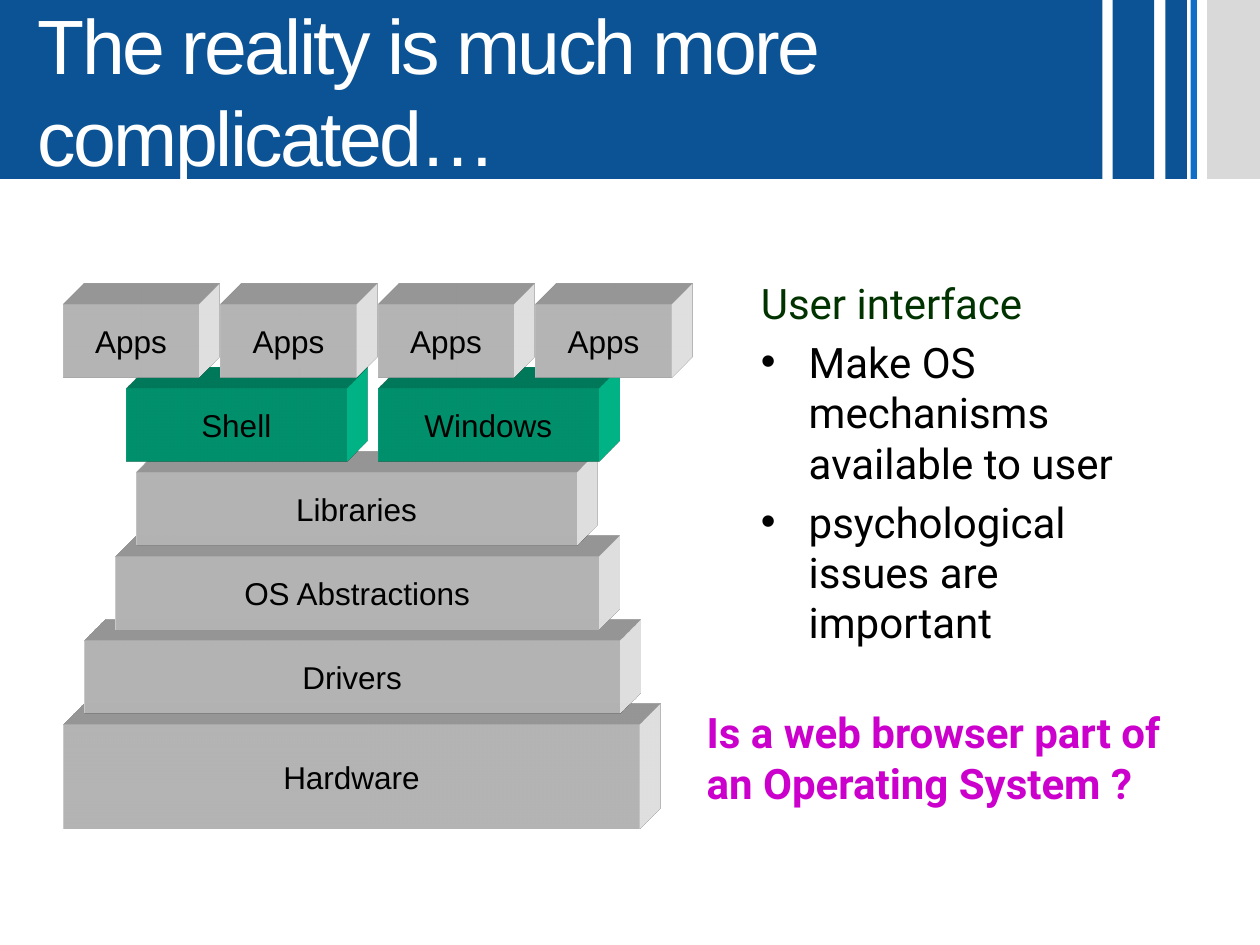
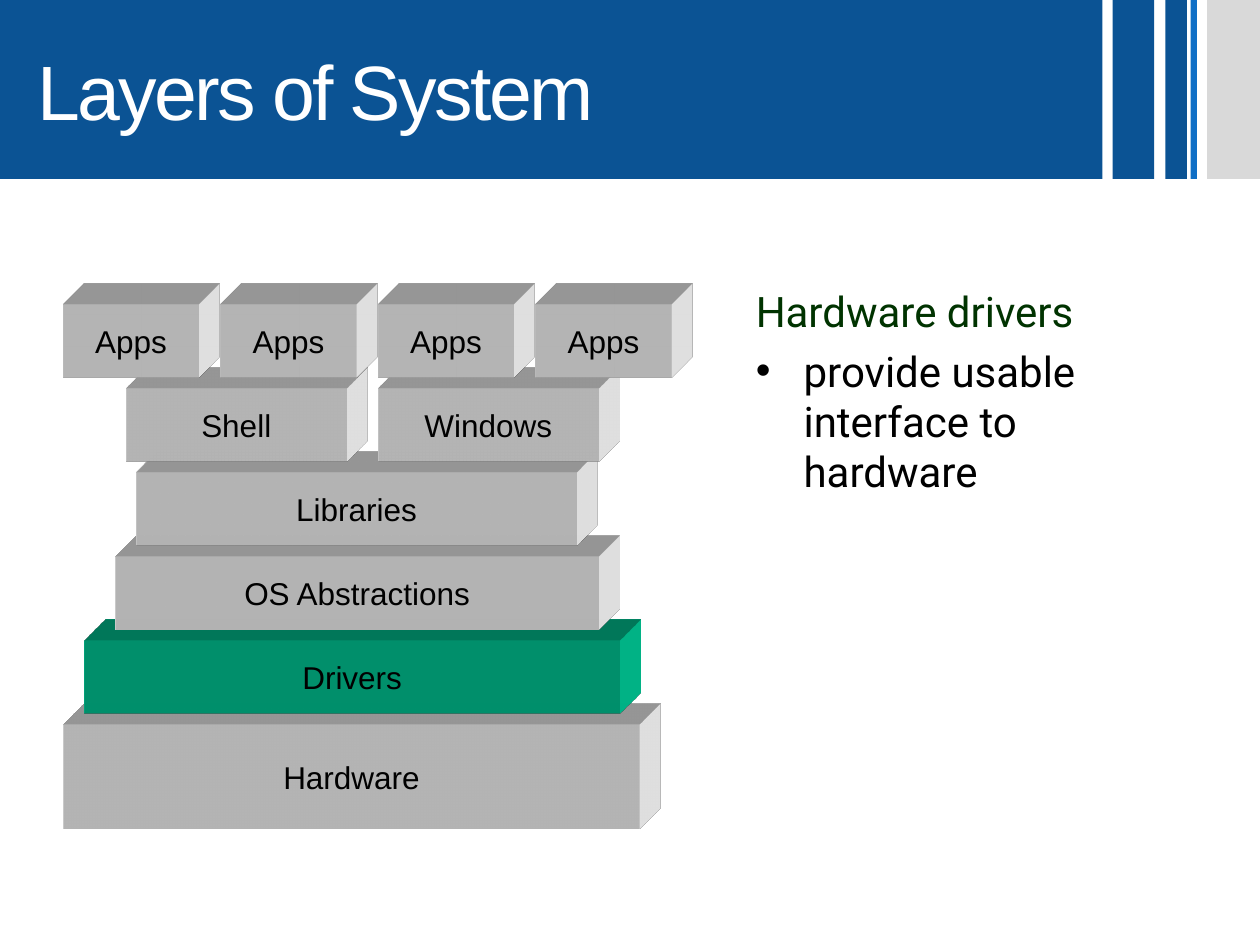
from dataclasses import dataclass

from lxml.etree import SubElement
from pptx import Presentation
from pptx.dml.color import RGBColor
from pptx.enum.shapes import MSO_SHAPE
from pptx.enum.text import MSO_ANCHOR, MSO_AUTO_SIZE, PP_ALIGN
from pptx.oxml.ns import qn
from pptx.util import Inches, Pt

COLORS = {
    "navy": "0B5394",
    "blue": "0F6FC6",
    "light": "D9D9D9",
    "white": "FFFFFF",
    "black": "000000",
    "green": "00CC99",
    "heading": "003300",
    "question": "CC00CC",
}

BAND_HEIGHT = 1.42
DEPTH = 0.47  # extrusion of a block, before the oblique projection
STACK_TOP = 2.417
ROW_PITCH = 2 / 3
BLOCK_HEIGHT = 0.58


@dataclass(frozen=True)
class Band:
    left: float
    width: float
    color: str


@dataclass(frozen=True)
class Block:
    name: str
    row: int
    left: float
    width: float
    height: float = BLOCK_HEIGHT


@dataclass(frozen=True)
class Notes:
    left: float
    top: float
    width: float
    height: float
    heading: str
    bullets: tuple[str, ...]


BANDS = (
    Band(8.83, 0.33, "navy"),
    Band(9.25, 0.17, "navy"),
    Band(9.45, 0.05, "blue"),
    Band(9.58, 0.42, "light"),
)

# Bottom to top, so that each block covers the one below it
BLOCKS = (
    Block("Hardware", 5, 0.5, 4.58, 0.83),
    Block("Drivers", 4, 0.67, 4.25),
    Block("OS Abstractions", 3, 0.92, 3.83),
    Block("Libraries", 2, 1.08, 3.5),
    Block("Shell", 1, 1, 1.75),
    Block("Windows", 1, 3, 1.75),
    *(Block("Apps", 0, 0.5 + 1.25 * column, 1.08) for column in range(4)),
)


def rgb(color: str) -> RGBColor:
    return RGBColor.from_string(COLORS[color])


def write(para, text: str, *, size: float = 24, font: str = "Roboto",
          color: str = "black", bold: bool = False,
          align: PP_ALIGN = PP_ALIGN.LEFT, before: float = 0,
          spacing: float = 0, hanging: float = 0, bullet: str = "") -> None:
    """Fill a paragraph with one formatted span."""
    para.alignment = align
    para.space_before = Pt(before)
    span = para.add_run()
    span.text = text
    span.font.size = Pt(size)
    span.font.name = font
    span.font.bold = bold
    span.font.color.rgb = rgb(color)
    if spacing:
        span._r.get_or_add_rPr().set("spc", str(round(spacing * 100)))
    if hanging:
        properties = para._p.get_or_add_pPr()
        properties.set("marL", str(Inches(hanging)))
        properties.set("indent", str(-Inches(hanging)))
        if bullet:
            SubElement(properties, qn("a:buFont"), typeface="Arial")
            SubElement(properties, qn("a:buChar"), char=bullet)
        else:
            SubElement(properties, qn("a:buNone"))


def add_rectangle(shapes, left: float, top: float, width: float,
                  height: float, color: str):
    box = shapes.add_shape(MSO_SHAPE.RECTANGLE, Inches(left), Inches(top),
                           Inches(width), Inches(height))
    box.shadow.inherit = False
    box.fill.solid()
    box.fill.fore_color.rgb = rgb(color)
    box.line.fill.background()
    return box


def add_text_box(page, left: float, top: float, width: float, height: float):
    frame = page.shapes.add_textbox(Inches(left), Inches(top), Inches(width),
                                    Inches(height)).text_frame
    frame.word_wrap = True
    return frame


def extrude(box, color: str) -> None:
    """Give a rectangle depth towards the top right."""
    properties = box.element.spPr
    scene = SubElement(properties, qn("a:scene3d"))
    SubElement(scene, qn("a:camera"), prst="legacyObliqueTopRight")
    SubElement(scene, qn("a:lightRig"), rig="legacyFlat3", dir="b")
    solid = SubElement(properties, qn("a:sp3d"),
                       extrusionH=str(Inches(DEPTH)),
                       prstMaterial="legacyMatte")
    for bevel in ("a:bevelT", "a:bevelB"):
        SubElement(solid, qn(bevel), w="13500", h="13500", prst="angle")
    extrusion_color = SubElement(solid, qn("a:extrusionClr"))
    SubElement(extrusion_color, qn("a:srgbClr"), val=COLORS[color])


def add_block(page, block: Block, color: str) -> None:
    box = add_rectangle(page.shapes, block.left,
                        STACK_TOP + block.row * ROW_PITCH, block.width,
                        block.height, color)
    extrude(box, color)
    frame = box.text_frame
    frame.word_wrap = False
    frame.vertical_anchor = MSO_ANCHOR.MIDDLE
    write(frame.paragraphs[0], block.name, size=18, font="Arial",
          align=PP_ALIGN.CENTER)


def add_stack(page, highlighted: set[str]) -> None:
    for block in BLOCKS:
        add_block(page, block, "green" if block.name in highlighted else "white")


def add_notes(page, notes: Notes) -> None:
    frame = add_text_box(page, notes.left, notes.top, notes.width, notes.height)
    write(frame.paragraphs[0], notes.heading, color="heading", hanging=0.38)
    for bullet in notes.bullets:
        write(frame.add_paragraph(), bullet, before=5, hanging=0.38, bullet="•")


def set_title(page, text: str) -> None:
    title = page.shapes.title
    title.left, title.top = Inches(0), Inches(0)
    title.width, title.height = Inches(8.75), Inches(BAND_HEIGHT)
    title.fill.solid()
    title.fill.fore_color.rgb = rgb("navy")
    frame = title.text_frame
    frame.auto_size = MSO_AUTO_SIZE.NONE
    frame.word_wrap = True
    frame.vertical_anchor = MSO_ANCHOR.MIDDLE
    frame.margin_left, frame.margin_right = Inches(0.3), Inches(0.1)
    frame.margin_top = frame.margin_bottom = Inches(0.05)
    write(frame.paragraphs[0], text, size=44, font="Arial", color="white",
          spacing=-1.5)


def move_bands_to_layout(page) -> None:
    """Draw the header bands and hand them to the layout all pages share."""
    for band in BANDS:
        box = add_rectangle(page.shapes, band.left, 0, band.width, BAND_HEIGHT,
                            band.color)
        page.slide_layout.shapes.element.append(box.element)


def add_page(deck, title: str, notes: Notes, highlighted: set[str]):
    page = deck.slides.add_slide(deck.slide_layouts.get_by_name("Title Only"))
    set_title(page, title)
    add_notes(page, notes)
    add_stack(page, highlighted)
    return page


def main() -> None:
    deck = Presentation()
    deck.slide_width, deck.slide_height = Inches(10), Inches(7.5)

    # User interface layer
    page = add_page(
        deck, "The reality is much more complicated…",
        Notes(5.94, 2.15, 3.59, 3.42, "User interface",
              ("Make OS mechanisms available to user",
               "psychological issues are important")),
        {"Shell", "Windows"})
    question = add_text_box(page, 5.51, 5.56, 4.22, 0.91)
    write(question.paragraphs[0],
          "Is a web browser part of an Operating System ?",
          color="question", bold=True)
    move_bands_to_layout(page)

    # Driver layer
    add_page(
        deck, "Layers of System",
        Notes(5.9, 2.22, 3.66, 4.44, "Hardware drivers",
              ("provide usable interface to hardware",)),
        {"Drivers"})

    deck.save("out.pptx")


if __name__ == "__main__":
    main()
